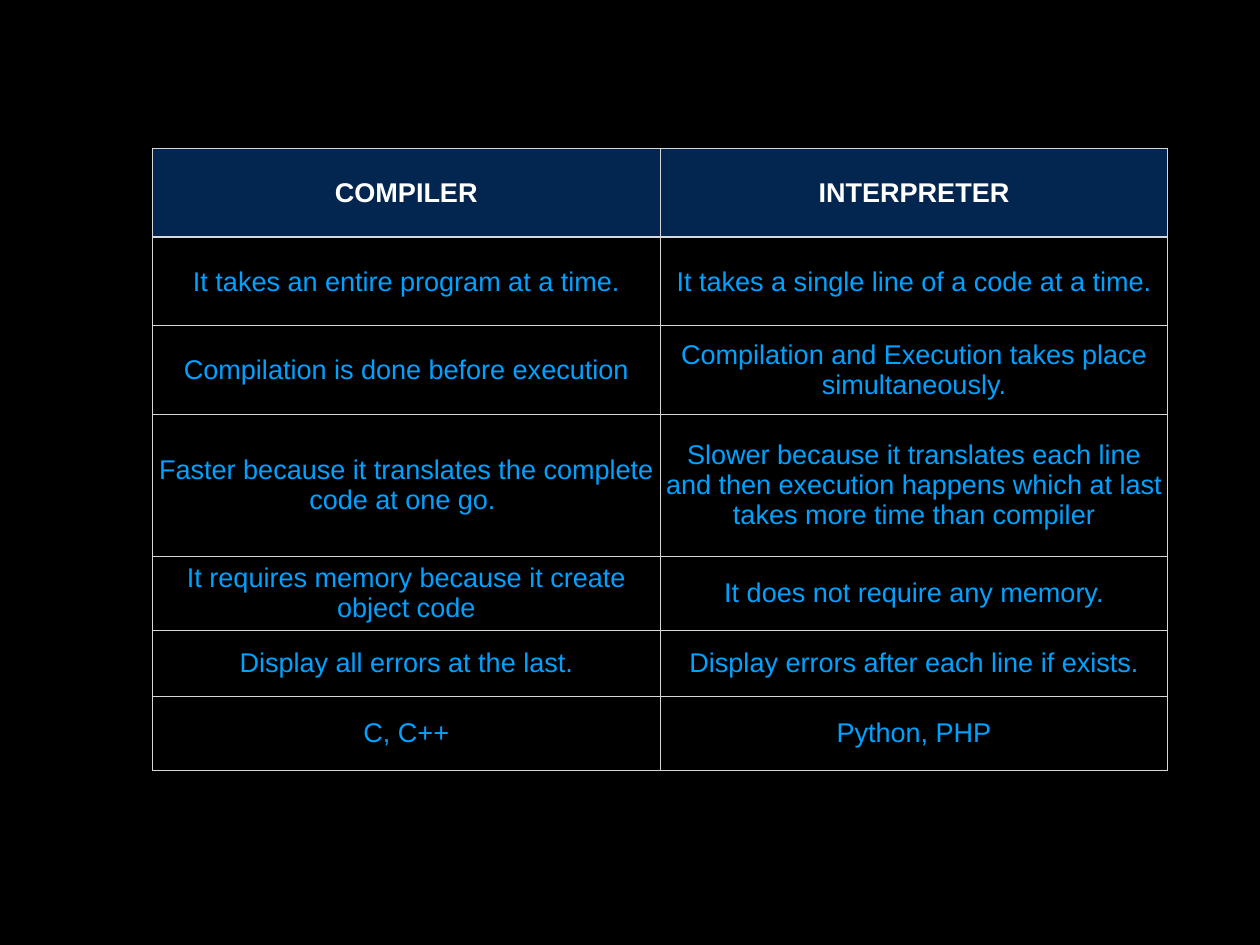
from dataclasses import dataclass

from lxml import etree
from pptx import Presentation
from pptx import util as u
from pptx.dml.color import RGBColor
from pptx.enum import text
from pptx.oxml import ns


@dataclass(frozen=True)
class Theme:
    """Colours, type and line widths of the slide."""

    background: str = "000000"
    header_fill: str = "032650"
    header_text: str = "FFFFFF"
    body_text: str = "00A2FF"
    border: str = "D6D7D6"
    font: str = "Arial"
    text_size: int = 22
    thin: int = 1
    thick: int = 2


THEME = Theme()

COMPARISON = [
    ("COMPILER", "INTERPRETER"),
    ("It takes an entire program at a time.", "It takes a single line of a code at a time."),
    ("Compilation is done before execution", "Compilation and Execution takes place simultaneously."),
    (
        "Faster because it translates the complete code at one go. ",
        "Slower because it translates each line and then execution happens "
        "which at last takes more time than compiler",
    ),
    ("It requires memory because it create object code", "It does not require any memory."),
    ("Display all errors at the last.", "Display errors after each line if exists."),
    ("C, C++", "Python, PHP"),
]
ROW_HEIGHTS = [1, 1, 1, 1.6, 0.84, 0.74, 0.84]
COLUMN_WIDTH = 5.73


def apply_format(target, values):
    """Set each attribute of the target from a dict of values."""
    for name, value in values.items():
        setattr(target, name, value)


def add_borders(cell, bottom_width):
    """Draw the four borders of a cell."""
    properties = cell._tc.get_or_add_tcPr()
    widths = {"lnL": THEME.thin, "lnR": THEME.thin, "lnT": THEME.thin, "lnB": bottom_width}
    for side, width in widths.items():
        line = etree.SubElement(properties, ns.qn(f"a:{side}"), w=str(u.Pt(width)))
        fill = etree.SubElement(line, ns.qn("a:solidFill"))
        etree.SubElement(fill, ns.qn("a:srgbClr"), val=THEME.border)


def format_cell(cell, wording, is_header):
    """Fill one cell with centred text, borders and background."""
    add_borders(cell, THEME.thick if is_header else THEME.thin)
    if is_header:
        cell.fill.solid()
        cell.fill.fore_color.rgb = RGBColor.from_string(THEME.header_fill)
    else:
        cell.fill.background()
    margins = dict.fromkeys(
        ("margin_left", "margin_right", "margin_top", "margin_bottom"), u.Inches(0.06)
    )
    apply_format(cell, {**margins, "vertical_anchor": text.MSO_ANCHOR.MIDDLE})
    paragraph = cell.text_frame.paragraphs[0]
    paragraph.alignment = text.PP_ALIGN.CENTER
    run = paragraph.add_run()
    run.text = wording
    apply_format(run.font, {"name": THEME.font, "size": u.Pt(THEME.text_size), "bold": is_header})
    colour = THEME.header_text if is_header else THEME.body_text
    run.font.color.rgb = RGBColor.from_string(colour)


def add_comparison_table(slide):
    """Add the table that sets compiler against interpreter."""
    column_count = len(COMPARISON[0])
    table = slide.shapes.add_table(
        len(COMPARISON),
        column_count,
        u.Inches(1.72),
        u.Inches(1.68),
        u.Inches(COLUMN_WIDTH * column_count),
        u.Inches(sum(ROW_HEIGHTS)),
    ).table
    table.horz_banding = False
    for column in table.columns:
        column.width = u.Inches(COLUMN_WIDTH)
    for row_index, (row, height) in enumerate(zip(table.rows, ROW_HEIGHTS)):
        row.height = u.Inches(height)
        for cell, wording in zip(row.cells, COMPARISON[row_index]):
            format_cell(cell, wording, is_header=row_index == 0)


def main():
    """Build the slide and save it."""
    presentation = Presentation()
    apply_format(
        presentation, {"slide_width": u.Inches(14.22), "slide_height": u.Inches(10.67)}
    )
    slide = presentation.slides.add_slide(presentation.slide_layouts[6])
    slide.background.fill.solid()
    slide.background.fill.fore_color.rgb = RGBColor.from_string(THEME.background)
    add_comparison_table(slide)
    presentation.save("out.pptx")


if __name__ == "__main__":
    main()
